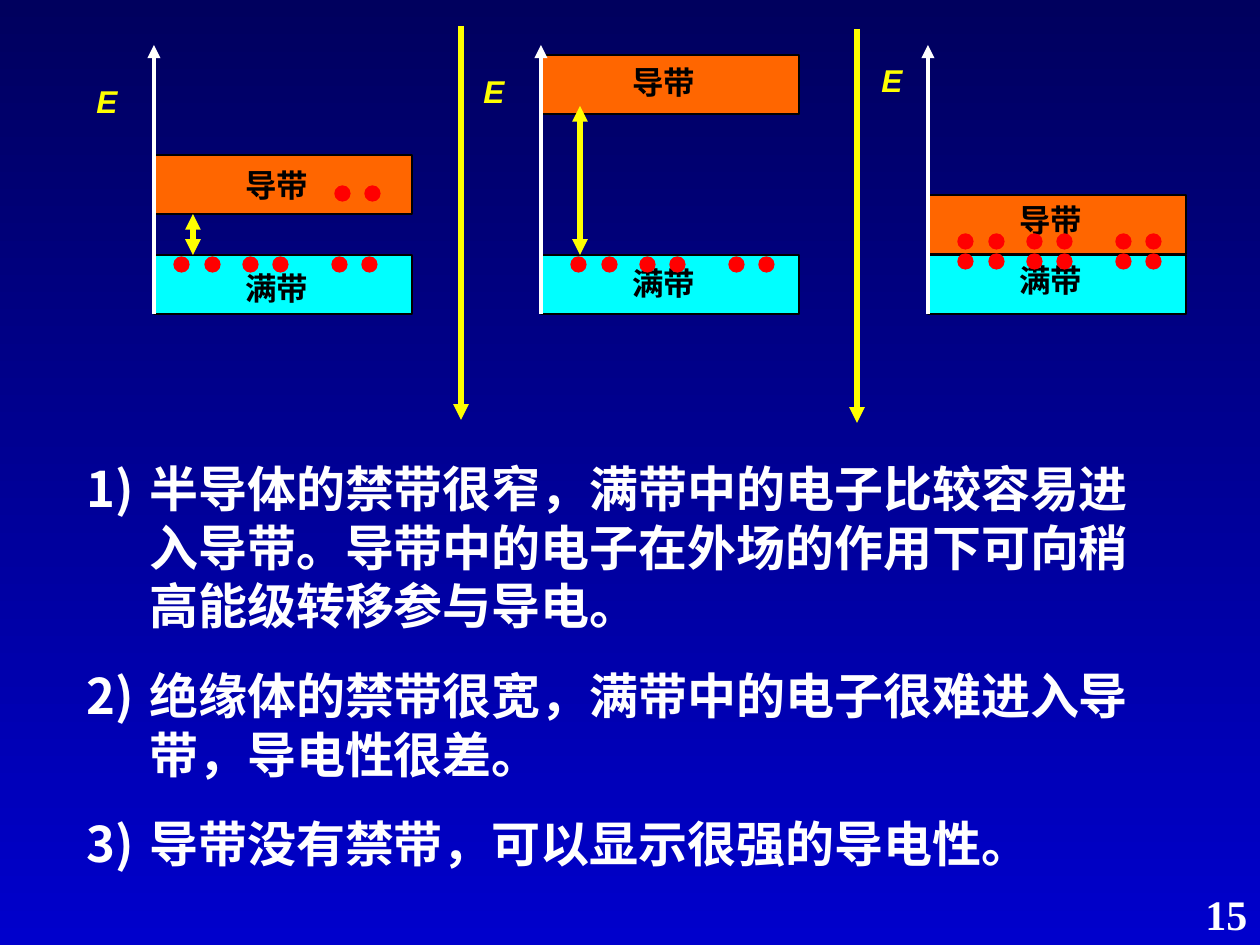
from lxml import etree
from pptx import Presentation
from pptx.dml.color import RGBColor
from pptx.enum.shapes import MSO_CONNECTOR, MSO_SHAPE
from pptx.oxml.ns import qn
from pptx.util import Inches, Pt

RECT, OVAL = MSO_SHAPE.RECTANGLE, MSO_SHAPE.OVAL
STRAIGHT = MSO_CONNECTOR.STRAIGHT
COLORS = {
    "top": "00005E", "bottom": "0000CC", "filled": "00FFFF",
    "conduction": "FF6600", "electron": "FF0000", "yellow": "FFFF00",
    "white": "FFFFFF", "black": "000000",
}

NOTES = [
    "半导体的禁带很窄，满带中的电子比较容易进入导带。导带中的电子在外场的作用下可向稍高能级转移参与导电。",
    "绝缘体的禁带很宽，满带中的电子很难进入导带，导电性很差。",
    "导带没有禁带，可以显示很强的导电性。",
]
ELECTRON_STEPS = [0, 31, 69, 99, 158, 188]
DIAGRAMS = [
    {"conduction": 155, "labels": (160, 263), "energy": (-70, 76), "gap": (214, 255),
     "electrons": [(20, 257, ELECTRON_STEPS), (23, 186, ELECTRON_STEPS[4:])]},
    {"conduction": 55, "labels": (57, 258), "energy": (-70, 66), "gap": (106, 255),
     "electrons": [(30, 257, ELECTRON_STEPS)]},
    {"conduction": 195, "labels": (195, 255), "energy": (-59, 55), "gap": None,
     "electrons": [(30, 254, ELECTRON_STEPS), (30, 234, ELECTRON_STEPS)]},
]
DIVIDERS = [(461, 26), (857, 29)]
DIVIDER_LENGTH = 394
AXIS_LEFT, AXIS_STEP, AXIS_TOP = 154, 387, 45
BAND_WIDTH, BAND_HEIGHT, FILLED_TOP = 258, 59, 255
ELECTRON_SIZE = 15


def px(value):
    return round(value * Inches(1) / 126)


def rgb(name):
    return RGBColor.from_string(COLORS[name])


def add_block(slide, kind, left, top, width, height, fill, line):
    block = slide.shapes.add_shape(kind, px(left), px(top), px(width), px(height))
    block.shadow.inherit = False
    block.fill.solid()
    block.fill.fore_color.rgb = rgb(fill)
    block.line.color.rgb = rgb(line)
    block.line.width = Pt(0.75)


def add_arrow(slide, x, start, end, color, width, heads=("tailEnd",)):
    arrow = slide.shapes.add_connector(STRAIGHT, px(x), px(start), px(x), px(end))
    arrow.line.color.rgb = rgb(color)
    arrow.line.width = Pt(width)
    for head in heads:
        etree.SubElement(arrow.line._get_or_add_ln(), qn(f"a:{head}"), type="triangle")
    etree.SubElement(arrow._element.spPr, qn("a:effectLst"))


def add_text(slide, paragraphs, left, top, width, height, size=18, color="black",
             font="Arial", italic=False, wrap=True, numbered=False, space=0):
    frame = slide.shapes.add_textbox(px(left), px(top), px(width), px(height)).text_frame
    frame.word_wrap = wrap
    for index, text in enumerate(paragraphs):
        paragraph = frame.add_paragraph() if index else frame.paragraphs[0]
        paragraph.text = text
        if index:
            paragraph.space_before = Pt(space)
        if numbered:
            properties = paragraph._p.get_or_add_pPr()
            properties.set("marL", str(px(63)))
            properties.set("indent", str(px(-63)))
            etree.SubElement(properties, qn("a:buAutoNum"), type="arabicParenR")
        paragraph.font.size = Pt(size)
        for run in paragraph.runs:
            run.font.name = font
            run.font.size = Pt(size)
            run.font.bold = True
            run.font.italic = italic
            run.font.color.rgb = rgb(color)


def add_diagram(slide, axis, diagram):
    bands = [("导带", "conduction", diagram["conduction"]), ("满带", "filled", FILLED_TOP)]
    for (label, color, top), label_top in zip(bands, diagram["labels"]):
        add_block(slide, RECT, axis, top, BAND_WIDTH, BAND_HEIGHT, color, "black")
        add_text(slide, [label], axis + 79, label_top, 100, 50)
    add_arrow(slide, axis, FILLED_TOP + BAND_HEIGHT, AXIS_TOP, "white", 2.5)
    energy_offset, energy_top = diagram["energy"]
    add_text(slide, ["E"], axis + energy_offset, energy_top, 49, 50,
             color="yellow", italic=True)
    if diagram["gap"]:
        add_arrow(slide, axis + 39, *diagram["gap"], "yellow", 3, ("headEnd", "tailEnd"))
    for offset, top, steps in diagram["electrons"]:
        for step in steps:
            add_block(slide, OVAL, axis + offset + step, top,
                      ELECTRON_SIZE, ELECTRON_SIZE, "electron", "electron")


def main():
    deck = Presentation()
    deck.slide_width, deck.slide_height = px(1260), px(945)
    slide = deck.slides.add_slide(deck.slide_layouts[6])
    background = slide.background.fill
    background.gradient()
    background.gradient_angle = 270
    for stop, name in zip(background.gradient_stops, ("top", "bottom")):
        stop.color.rgb = rgb(name)

    for index, diagram in enumerate(DIAGRAMS):
        add_diagram(slide, AXIS_LEFT + index * AXIS_STEP, diagram)
    for x, top in DIVIDERS:
        add_arrow(slide, x, top, top + DIVIDER_LENGTH, "yellow", 3)
    add_text(slide, NOTES, 74, 452, 1111, 427, size=28, color="white",
             numbered=True, space=17.5)
    add_text(slide, ["15"], 1193, 882, 67, 63, size=24, color="white",
             font="Times New Roman", wrap=False)
    deck.save("out.pptx")


if __name__ == "__main__":
    main()
